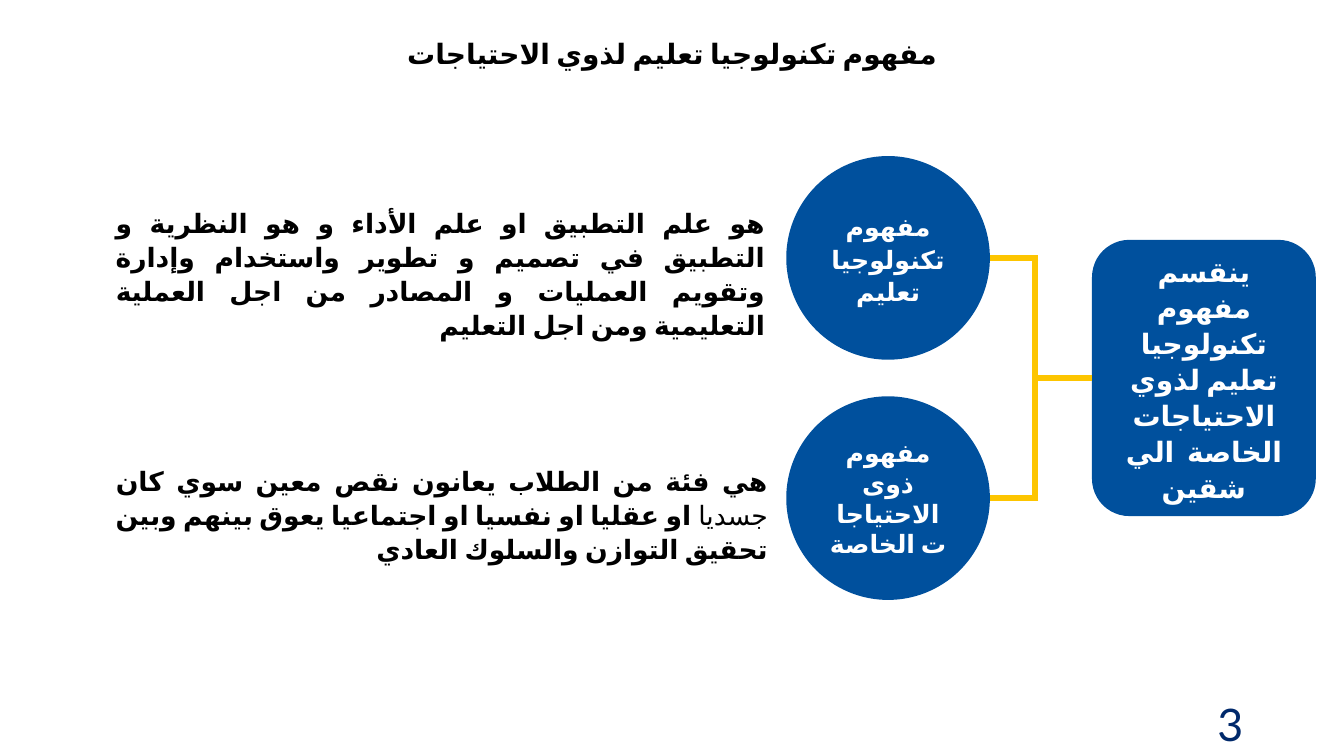
from dataclasses import dataclass

from lxml import etree
from pptx import Presentation
from pptx import util as u
from pptx.dml.color import RGBColor
from pptx.enum import lang, shapes, text
from pptx.oxml.ns import qn

COLS, ROWS = 80, 45
BLUE, YELLOW, NAVY, BLACK, WHITE = "00509D", "FDC500", "00296B", "000000", "FFFFFF"
ALIGN = text.PP_ALIGN
ARABIC, ENGLISH = lang.MSO_LANGUAGE_ID.ARABIC_EGYPT, lang.MSO_LANGUAGE_ID.ENGLISH_US
MIDDLE_ROW = ROWS / 2
ROOT_COL, TRUNK_COL, ARM_END_COL = 65, 61.62, 58.3
CIRCLE_COL, DIAMETER = 46.8, 12.12
LINE_PT = 4.5
HALF_LINE = 0.19

prs = Presentation()
prs.slide_width, prs.slide_height = u.Inches(13.333), u.Inches(7.5)
slide = prs.slides.add_slide(prs.slide_layouts[6])


@dataclass
class Box:
    """Place on the grid, in columns and rows."""
    col: float
    row: float
    cols: float
    rows: float

    def emu(self) -> tuple[int, ...]:
        return x(self.col), y(self.row), x(self.cols), y(self.rows)


@dataclass
class Style:
    size: float
    font: str = "Calibri"
    color: str = WHITE
    align: ALIGN = ALIGN.CENTER
    bold: bool = True
    rtl: bool = True  # right to left, with looser paragraph spacing
    language: lang.MSO_LANGUAGE_ID = ARABIC


@dataclass
class Branch:
    row: float
    label: str
    label_style: Style
    definition: list[tuple[str, bool]]  # wording and whether it is bold
    definition_box: Box


def x(cols: float) -> int:
    return round(prs.slide_width * cols / COLS)


def y(rows: float) -> int:
    return round(prs.slide_height * rows / ROWS)


def rgb(color: str) -> RGBColor:
    return RGBColor.from_string(color)


def write(sp, runs: list[tuple[str, bool]], style: Style, middle: bool = True) -> None:
    tf = sp.text_frame
    tf.word_wrap = True
    tf.vertical_anchor = text.MSO_ANCHOR.MIDDLE if middle else text.MSO_ANCHOR.TOP
    p = tf.paragraphs[0]
    p.alignment = style.align
    if style.rtl:
        p.line_spacing, p.space_after = 1.07, u.Pt(8)
        p._p.get_or_add_pPr().set("rtl", "1")
    p.font.size, p.font.name, p.font.bold = u.Pt(style.size), style.font, style.bold
    p.font.color.rgb = rgb(style.color)
    # Arabic letters take the complex-script typeface
    etree.SubElement(p._p.pPr.find(qn("a:defRPr")), qn("a:cs"), typeface=style.font)
    for wording, bold in runs:
        r = p.add_run()
        r.text = wording
        r.font.language_id = style.language
        if bold != style.bold:
            r.font.bold = bold


def add_node(kind: shapes.MSO_SHAPE, box: Box, label: str, style: Style):
    sp = slide.shapes.add_shape(kind, *box.emu())
    sp.shadow.inherit = False
    sp.fill.solid()
    sp.fill.fore_color.rgb = rgb(BLUE)
    sp.line.fill.background()
    write(sp, [(label, True)], style)
    return sp


def add_text(box: Box, runs: list[tuple[str, bool]], style: Style, grow: bool = True) -> None:
    sp = slide.shapes.add_textbox(*box.emu())
    write(sp, runs, style, middle=not grow)
    if grow:
        sp.text_frame.auto_size = text.MSO_AUTO_SIZE.SHAPE_TO_FIT_TEXT


def add_line(col1: float, row1: float, col2: float, row2: float):
    line = slide.shapes.add_connector(
        shapes.MSO_CONNECTOR.STRAIGHT, x(col1), y(row1), x(col2), y(row2))
    line.line.color.rgb = rgb(YELLOW)
    line.line.width = u.Pt(LINE_PT)
    etree.SubElement(line._element.spPr, qn("a:effectLst"))
    return line


definition_style = Style(19, "Lato", BLACK, ALIGN.JUSTIFY)
branches = [
    Branch(MIDDLE_ROW - 7.15, "مفهوم تكنولوجيا تعليم", Style(18),
           [("هو علم التطبيق او علم الأداء و هو النظرية و التطبيق في تصميم و تطوير "
             "واستخدام وإدارة وتقويم العمليات و المصادر من اجل العملية التعليمية "
             "ومن اجل التعليم", True)],
           Box(6.3, 11.88, 39.84, 6.66)),
    Branch(MIDDLE_ROW + 7.15, "مفهوم ذوى الاحتياجات الخاصة", Style(18, rtl=False),
           [("هي فئة من الطلاب يعانون نقص معين سوي كان ", True),
            ("جسديا", False),
            (" او عقليا او نفسيا او اجتماعيا يعوق بينهم وبين تحقيق التوازن "
             "والسلوك العادي ", True)],
           Box(6.3, 27.24, 40, 6.66)),
]

add_text(Box(20, 1.86, 40, 2.64), [("مفهوم تكنولوجيا تعليم لذوي الاحتياجات", True)],
         Style(20, color=BLACK, rtl=False))
root = add_node(shapes.MSO_SHAPE.ROUNDED_RECTANGLE,
                Box(ROOT_COL, MIDDLE_ROW - 8.22, 13.32, 16.44),
                "ينقسم مفهوم تكنولوجيا تعليم لذوي الاحتياجات الخاصة  الي شقين", Style(20))
stub = add_line(ROOT_COL, MIDDLE_ROW, TRUNK_COL, MIDDLE_ROW)
stub.begin_connect(root, 1)

for branch in branches:
    add_line(TRUNK_COL, MIDDLE_ROW, TRUNK_COL, branch.row)
    add_line(TRUNK_COL + HALF_LINE, branch.row, ARM_END_COL, branch.row)
    add_node(shapes.MSO_SHAPE.OVAL,
             Box(CIRCLE_COL, branch.row - DIAMETER / 2, DIAMETER, DIAMETER),
             branch.label, branch.label_style)
    add_text(branch.definition_box, branch.definition, definition_style)

add_text(Box(56.6, 41.9, 18, 2.4), [("3", False)],
         Style(32, "Lato", NAVY, ALIGN.RIGHT, bold=False, rtl=False, language=ENGLISH),
         grow=False)

prs.save("out.pptx")
